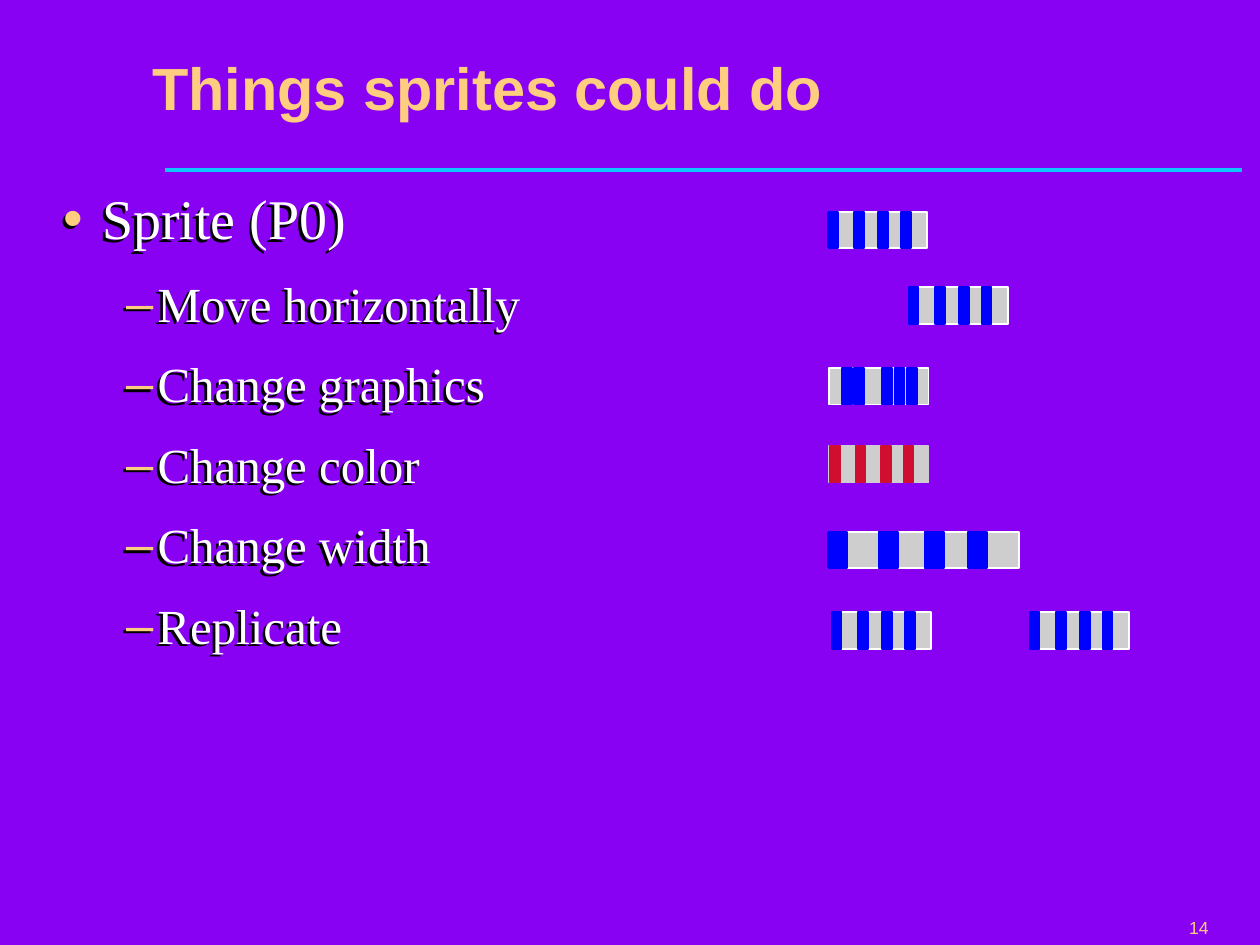
import pptx
import pptx.util
import pptx.dml.color
import pptx.enum.shapes
import pptx.enum.text
import pptx.oxml
from pptx.util import Inches

PURPLE = pptx.dml.color.RGBColor(0x89, 0x01, 0xF3)
GOLD = pptx.dml.color.RGBColor(0xFF, 0xCD, 0x7F)
CYAN = pptx.dml.color.RGBColor(0x0F, 0xC7, 0xFF)
WHITE = pptx.dml.color.RGBColor(0xFF, 0xFF, 0xFF)
GREY = pptx.dml.color.RGBColor(0xCE, 0xCE, 0xCE)
BLUE = pptx.dml.color.RGBColor(0x00, 0x00, 0xFF)
RED = pptx.dml.color.RGBColor(0xCF, 0x0E, 0x30)
NS = 'xmlns:a="http://schemas.openxmlformats.org/drawingml/2006/main"'


def write(para, text, size, face, color, bold=False):
    para.line_spacing = 0.9
    para.alignment = pptx.enum.text.PP_ALIGN.LEFT
    span = para.add_run()
    span.text = text
    formats = {"size": pptx.util.Pt(size), "name": face, "bold": bold}
    for key, value in formats.items():
        setattr(span.font, key, value)
    span.font.color.rgb = color


def add_bar(group, left, top, width, fill, line):
    bar = group.shapes.add_shape(
        pptx.enum.shapes.MSO_SHAPE.RECTANGLE,
        Inches(left), Inches(top), Inches(width), Inches(0.29))
    bar.shadow.inherit = False
    bar.fill.solid()
    bar.fill.fore_color.rgb = fill
    bar.line.color.rgb = line
    bar.line.width = pptx.util.Pt(1)


deck = pptx.Presentation()
deck.slide_width, deck.slide_height = Inches(10), Inches(7.5)
page = deck.slides.add_slide(deck.slide_layouts[1])
page.background.fill.solid()
page.background.fill.fore_color.rgb = PURPLE

# Rule under the title
rule = page.shapes.add_connector(
    pptx.enum.shapes.MSO_CONNECTOR.STRAIGHT,
    Inches(1.31), Inches(1.35), Inches(9.86), Inches(1.35))
rule.line.color.rgb = CYAN
rule.line.width = pptx.util.Pt(2.25)
rule._element.spPr.append(pptx.oxml.parse_xml(f"<a:effectLst {NS}/>"))

# Page number
number = page.shapes.add_textbox(Inches(9.34), Inches(7.25), Inches(0.83), Inches(0.25))
number.text_frame.word_wrap = False
write(number.text_frame.paragraphs[0], "14", 10, "Arial", GOLD)

# Title and list placeholders
title, body = page.shapes.title, page.placeholders[1]
for box, place, anchor in (
        (title, (1.11, 0.29, 8.89, 0.87), pptx.enum.text.MSO_ANCHOR.MIDDLE),
        (body, (0.4, 1.47, 6.13, 5.67), pptx.enum.text.MSO_ANCHOR.TOP)):
    box.left, box.top, box.width, box.height = map(Inches, place)
    formats = {"word_wrap": True, "vertical_anchor": anchor,
               "auto_size": pptx.enum.text.MSO_AUTO_SIZE.NONE}
    for key, value in formats.items():
        setattr(box.text_frame, key, value)
write(title.text_frame.paragraphs[0], "Things sprites could do", 34, "Arial", GOLD, True)

# Sprite list: text, level
levels = (
    {"size": 32, "before": 18, "margin": 0.31, "indent": -0.31, "bullet": "•"},
    {"size": 28, "before": 15.8, "margin": 0.75, "indent": -0.25, "bullet": "–"},
)
items = (("Sprite (P0)", 0), ("Move horizontally", 1), ("Change graphics", 1),
         ("Change color", 1), ("Change width", 1), ("Replicate", 1))
for index, (text, level) in enumerate(items):
    look = levels[level]
    para = body.text_frame.add_paragraph() if index else body.text_frame.paragraphs[0]
    para.level = level
    write(para, text, look["size"], "Times New Roman", WHITE)
    para.space_before = pptx.util.Pt(look["before"])
    props = para._p.get_or_add_pPr()
    props.set("marL", str(Inches(look["margin"])))
    props.set("indent", str(Inches(look["indent"])))
    for xml in (f'<a:buClr {NS}><a:srgbClr val="{GOLD}"/></a:buClr>',
                f'<a:buFont {NS} typeface="Arial"/>',
                f'<a:buChar {NS} char="{look["bullet"]}"/>'):
        props.append(pptx.oxml.parse_xml(xml))

# Black shadow below and to the left of the list text
body.fill.background()
body._element.spPr.append(pptx.oxml.parse_xml(
    f'<a:effectLst {NS}><a:outerShdw dist="{Inches(0.03)}" dir="8100000" algn="ctr" rotWithShape="0">'
    '<a:srgbClr val="000000"/></a:outerShdw></a:effectLst>'))

# Sprites: lefts, top, scale, stripe offsets, stripe color, outline
even = (0, 0.21, 0.4, 0.58)
sprites = (
    ((6.57,), 1.68, 1, even, BLUE, WHITE),
    ((7.21,), 2.28, 1, even, BLUE, WHITE),
    ((6.58,), 2.92, 1, (0.1, 0.2, 0.42, 0.52, 0.62), BLUE, WHITE),
    ((6.58,), 3.54, 1, (0.01, 0.21, 0.41, 0.59), RED, GREY),
    ((6.57,), 4.22, 1.92, even, BLUE, WHITE),
    ((6.6, 8.17), 4.86, 1, even, BLUE, WHITE),
)
for lefts, top, scale, offsets, color, outline in sprites:
    group = page.shapes.add_group_shape()
    for left in lefts:
        add_bar(group, left, top, 0.79 * scale, GREY, outline)
        for offset in offsets:
            add_bar(group, left + offset * scale, top, 0.08 * scale, color, color)

deck.save("out.pptx")
